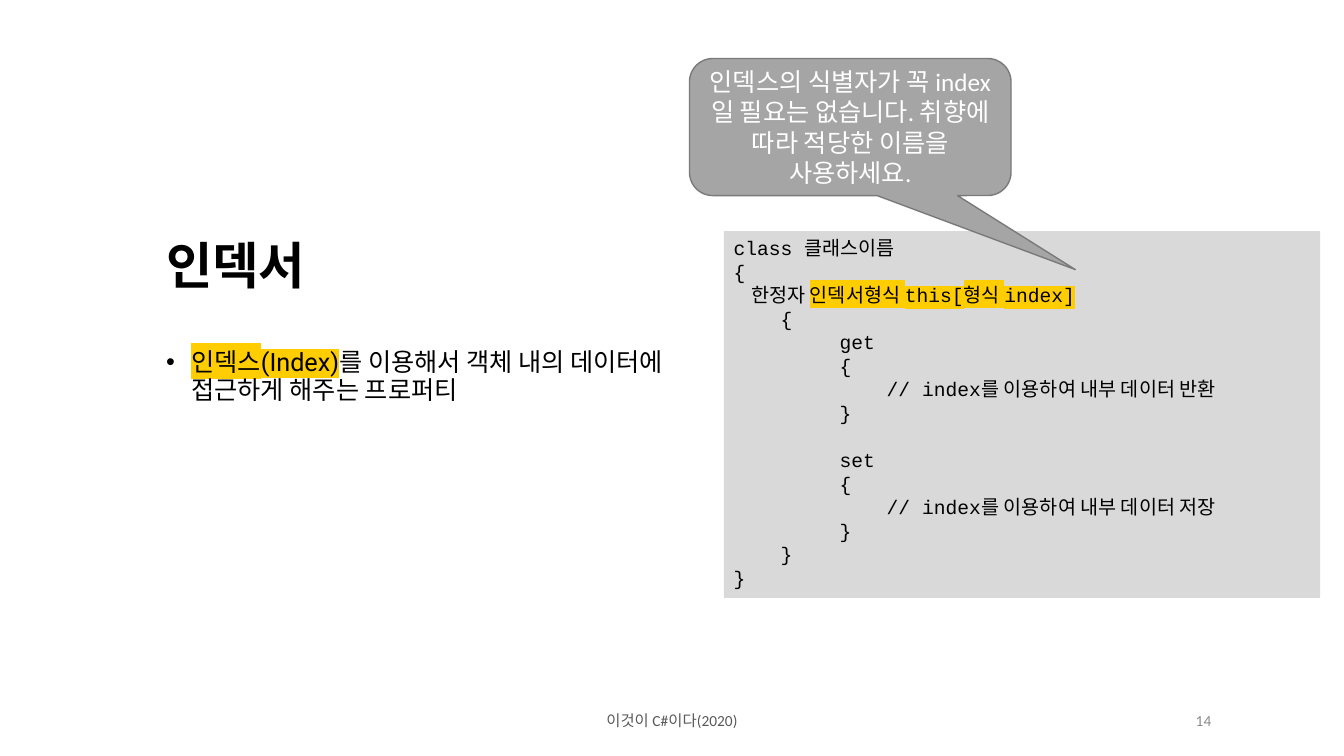
from lxml.etree import SubElement
from pptx import Presentation
from pptx.dml.color import RGBColor
from pptx.enum.shapes import MSO_SHAPE
from pptx.enum.text import MSO_ANCHOR, PP_ALIGN
from pptx.oxml import parse_xml
from pptx.oxml.ns import nsdecls, qn
from pptx.util import Pt

# Content: a run is (text, highlighted)
TITLE = "인덱서"
DEFINITION = [("인덱스(Index)", True),
              ("를 이용해서 객체 내의 데이터에 접근하게 해주는 프로퍼티", False)]
CALLOUT = "인덱스의 식별자가 꼭 index일 필요는 없습니다. 취향에 따라 적당한 이름을 사용하세요."
FOOTER, PAGE = "이것이 C#이다(2020)", "14"


def accessor(name, action):
    return [f"         {name}", "         {",
            f"             // index를 이용하여 내부 데이터 {action}", "         }"]


HEAD = [[("class 클래스이름", False)], [("{", False)],
        [("    한정자 ", False), ("인덱서형식 this[형식 index]", True)], [("    {", False)]]
BODY = accessor("get", "반환") + accessor("set", "저장") + ["    }", "}"]
CODE = HEAD + [[(line, False)] for line in BODY]
SET_LINE = len(HEAD) + 4

# Format values
COLORS = {"text": "000000", "mark": "FFCD00", "code": "D9D9D9", "callout": "A5A5A5",
          "edge": "7A7A7A", "white": "FFFFFF", "footer": "595959", "page": "8C8C8C"}
STYLES = {
    "title": ({"name": "TeX Gyre Pagella", "size": Pt(36), "bold": True}, "text"),
    "body": ({"name": "Roboto", "size": Pt(18), "bold": False}, "text"),
    "code": ({"name": "Courier New", "size": Pt(14)}, "text"),
    "callout": ({"name": "Calibri", "size": Pt(18)}, "white"),
    "footer": ({"name": "Calibri", "size": Pt(11)}, "footer"),
    "page": ({"name": "Calibri", "size": Pt(11)}, "page"),
}
CODE_TOP = 165
BULLET_INDENT = 18
BULLET_GAP = 39
BLANK_CODE_LINE = 17


def rgb(key):
    return RGBColor.from_string(COLORS[key])


def add_runs(p, runs, style, **layout):
    for name, value in layout.items():
        setattr(p, name, value)
    fmt, color = STYLES[style]
    for text, marked in runs:
        r = p.add_run()
        r.text = text
        for name, value in fmt.items():
            setattr(r.font, name, value)
        r.font.color.rgb = rgb(color)
        if marked:
            fill = r.font._element.find(qn("a:solidFill"))
            fill.addnext(parse_xml(f'<a:highlight {nsdecls("a")}>'
                                   f'<a:srgbClr val="{COLORS["mark"]}"/></a:highlight>'))


def add_text(box, anchor):
    tf = s.shapes.add_textbox(*map(Pt, box)).text_frame
    tf.word_wrap, tf.vertical_anchor = True, anchor
    return tf


def add_panel(kind, box, fill, anchor):
    sp = s.shapes.add_shape(kind, *map(Pt, box))
    sp.shadow.inherit = False
    sp.fill.solid()
    sp.fill.fore_color.rgb = rgb(fill)
    sp.line.fill.background()
    tf = sp.text_frame
    tf.word_wrap, tf.vertical_anchor = True, anchor
    return sp


prs = Presentation()
prs.slide_width, prs.slide_height = Pt(960), Pt(540)
s = prs.slides.add_slide(prs.slide_layouts[6])

# Footer and page number
for text, style, left, width, align in [(FOOTER, "footer", 318, 324, PP_ALIGN.CENTER),
                                        (PAGE, "page", 678, 194.4, PP_ALIGN.RIGHT)]:
    tf = add_text((left, 500.5, width, 28.8), MSO_ANCHOR.MIDDLE)
    add_runs(tf.paragraphs[0], [(text, False)], style, alignment=align)

# Title and definition
tf = add_text((111.6, CODE_TOP, 394, 221), MSO_ANCHOR.TOP)
for side in ("left", "top", "right", "bottom"):
    setattr(tf, f"margin_{side}", Pt(7.2))
add_runs(tf.paragraphs[0], [(TITLE, False)], "title", line_spacing=0.9)
p = tf.add_paragraph()
pPr = p._p.get_or_add_pPr()
pPr.set("marL", str(Pt(BULLET_INDENT)))
pPr.set("indent", str(-Pt(BULLET_INDENT)))
SubElement(pPr, qn("a:buFont")).set("typeface", "Arial")
SubElement(pPr, qn("a:buChar")).set("char", "•")
add_runs(p, DEFINITION, "body", line_spacing=0.9, space_before=Pt(BULLET_GAP))

# Code panel
sp = add_panel(MSO_SHAPE.RECTANGLE, (517, CODE_TOP, 426, 262), "code", MSO_ANCHOR.TOP)
tf = sp.text_frame
for i, runs in enumerate(CODE):
    p = tf.add_paragraph() if i else tf.paragraphs[0]
    add_runs(p, runs, "code", alignment=PP_ALIGN.LEFT)
    if i == SET_LINE:
        p.space_before = Pt(BLANK_CODE_LINE)

# Callout pointing at the index name
sp = add_panel(MSO_SHAPE.ROUNDED_RECTANGULAR_CALLOUT, (492.5, 41.8, 229.7, 97.9),
               "callout", MSO_ANCHOR.MIDDLE)
for i, value in enumerate((0.7, 1.04, 0.17)):
    sp.adjustments[i] = value
sp.line.color.rgb = rgb("edge")
sp.line.width = Pt(1)
add_runs(sp.text_frame.paragraphs[0], [(CALLOUT, False)], "callout", alignment=PP_ALIGN.CENTER)

prs.save("out.pptx")
